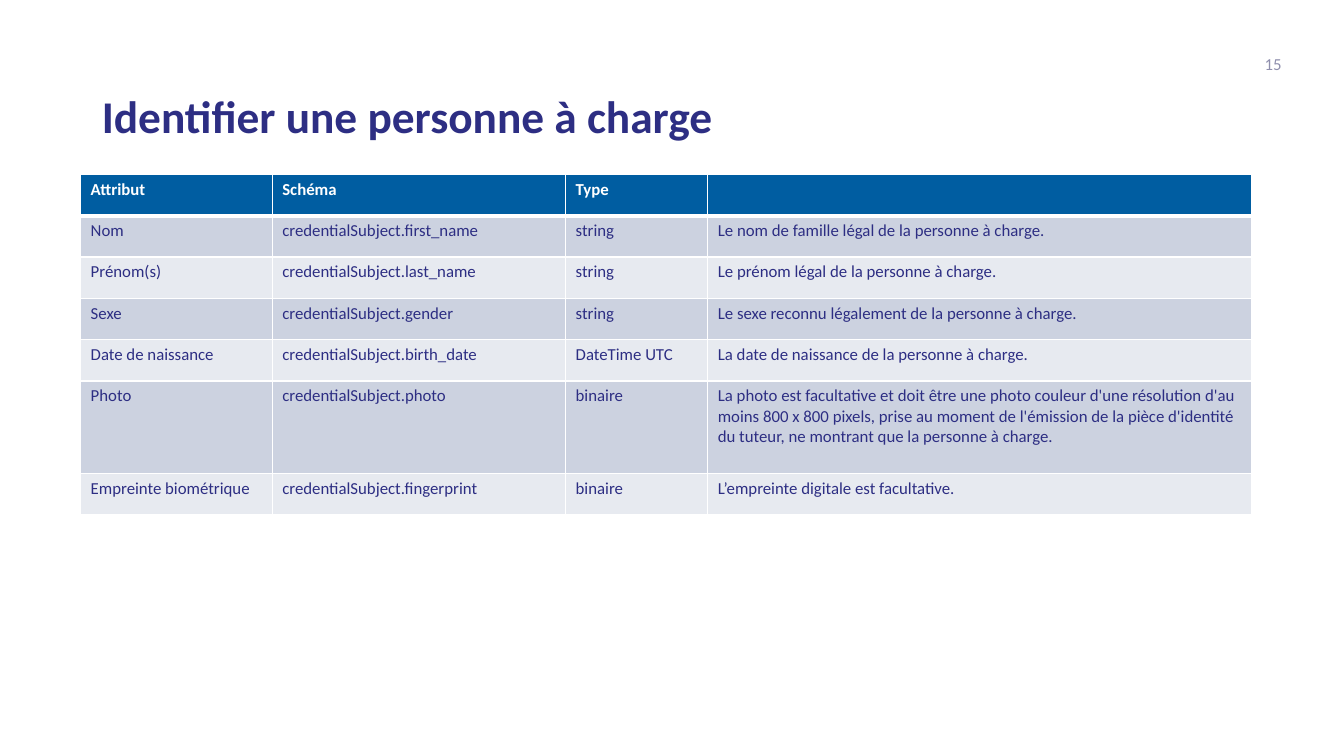
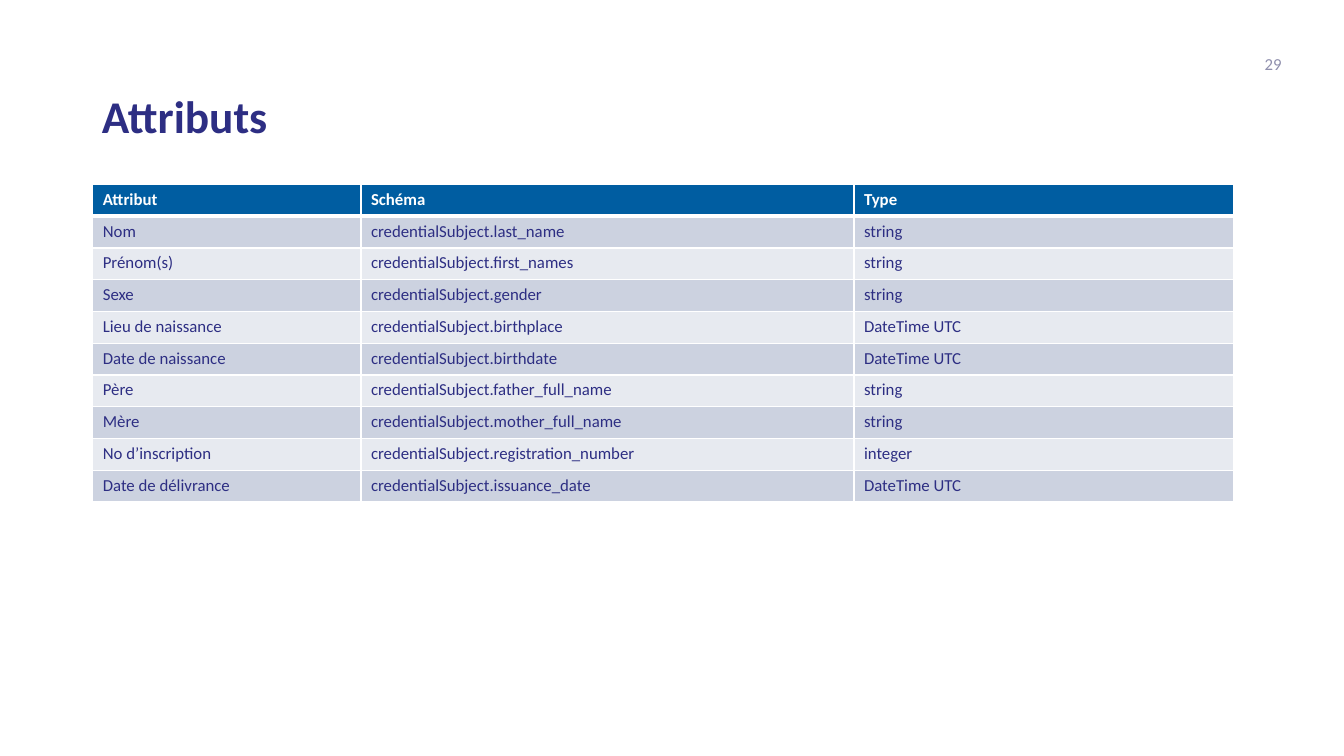
from lxml import etree
from pptx import Presentation
from pptx.dml.color import RGBColor
from pptx.enum import text
from pptx.oxml import ns
from pptx.util import Inches, Pt

# Content
SLIDES = [
    {
        "title": "Identifier une personne à charge", "number": "15",
        "corner": (0.8, 1.73), "cols": [1.9, 2.91, 1.41, 5.39],
        "row": 0.41, "tall": {5: 0.92},
        "rows": [
            ("Attribut", "Schéma", "Type", ""),
            ("Nom", "credentialSubject.first_name", "string",
             "Le nom de famille légal de la personne à charge."),
            ("Prénom(s)", "credentialSubject.last_name", "string",
             "Le prénom légal de la personne à charge."),
            ("Sexe", "credentialSubject.gender", "string",
             "Le sexe reconnu légalement de la personne à charge."),
            ("Date de naissance", "credentialSubject.birth_date", "DateTime UTC",
             "La date de naissance de la personne à charge."),
            ("Photo", "credentialSubject.photo", "binaire",
             "La photo est facultative et doit être une photo couleur d'une "
             "résolution d'au moins 800 x 800 pixels, prise au moment de "
             "l'émission de la pièce d'identité du tuteur, ne montrant que "
             "la personne à charge."),
            ("Empreinte biométrique", "credentialSubject.fingerprint", "binaire",
             "L’empreinte digitale est facultative."),
        ],
    },
    {
        "title": "Attributs", "number": "29",
        "corner": (0.92, 1.83), "cols": [2.66, 4.89, 3.77],
        "row": 3.15 / 10, "tall": {},
        "rows": [
            ("Attribut", "Schéma", "Type"),
            ("Nom", "credentialSubject.last_name", "string"),
            ("Prénom(s)", "credentialSubject.first_names", "string"),
            ("Sexe", "credentialSubject.gender", "string"),
            ("Lieu de naissance", "credentialSubject.birthplace", "DateTime UTC"),
            ("Date de naissance", "credentialSubject.birthdate", "DateTime UTC"),
            ("Père", "credentialSubject.father_full_name", "string"),
            ("Mère", "credentialSubject.mother_full_name", "string"),
            ("No d’inscription", "credentialSubject.registration_number", "integer"),
            ("Date de délivrance", "credentialSubject.issuance_date", "DateTime UTC"),
        ],
    },
]

# Shared style
COLORS = {"ink": "2D2E83", "number": "8F8FAD", "header": "005DA1",
          "dark": "CCD2E0", "light": "E7EAF0", "white": "FFFFFF"}
FONT = "Calibri"
TITLE_BOX = (0.91, 0.87, 11.5, 0.6)
NUMBER_BOX = (9.81, 0.43, 3, 0.4)


def style(p, size, color, bold=False):
    p.font.name, p.font.size, p.font.bold = FONT, Pt(size), bold
    p.font.color.rgb = RGBColor.from_string(COLORS[color])


def add_title(s, words):
    title = s.shapes.title
    title.left, title.top, title.width, title.height = map(Inches, TITLE_BOX)
    tf = title.text_frame
    tf.text = words
    tf.auto_size = text.MSO_AUTO_SIZE.NONE
    tf.vertical_anchor = text.MSO_ANCHOR.BOTTOM
    p = tf.paragraphs[0]
    p.alignment, p.line_spacing = text.PP_ALIGN.LEFT, 0.9
    style(p, 32.4, "ink", bold=True)


def add_number(s, number):
    tf = s.shapes.add_textbox(*map(Inches, NUMBER_BOX)).text_frame
    tf.word_wrap = True
    tf.vertical_anchor = text.MSO_ANCHOR.MIDDLE
    tf.text = number
    p = tf.paragraphs[0]
    p.alignment = text.PP_ALIGN.RIGHT
    style(p, 12, "number")


def add_borders(cell, widths):
    tc_pr = cell._tc.get_or_add_tcPr()
    for side, width in widths.items():
        ln = etree.SubElement(tc_pr, ns.qn(f"a:ln{side}"), w=str(Pt(width)))
        fill = etree.SubElement(ln, ns.qn("a:solidFill"))
        etree.SubElement(fill, ns.qn("a:srgbClr"), val=COLORS["white"])


def add_table(s, data):
    rows, cols = data["rows"], data["cols"]
    heights = [data["tall"].get(i, data["row"]) for i in range(len(rows))]
    box = (*data["corner"], sum(cols), sum(heights))
    table = s.shapes.add_table(len(rows), len(cols), *map(Inches, box)).table
    for column, width in zip(table.columns, cols):
        column.width = Inches(width)
    for i, words in enumerate(rows):
        table.rows[i].height = Inches(heights[i])
        band = "header" if i == 0 else ("light", "dark")[i % 2]
        # A thicker rule separates the header from the body
        borders = {"L": 1, "R": 1, "T": 3 if i == 1 else 1, "B": 3 if i == 0 else 1}
        for cell, word in zip(table.rows[i].cells, words):
            add_borders(cell, borders)
            cell.fill.solid()
            cell.fill.fore_color.rgb = RGBColor.from_string(COLORS[band])
            cell.text = word
            style(cell.text_frame.paragraphs[0], 12,
                  "white" if i == 0 else "ink", bold=i == 0)


# Build
prs = Presentation()
prs.slide_width, prs.slide_height = Inches(13.33), Inches(7.5)
for data in SLIDES:
    s = prs.slides.add_slide(prs.slide_layouts[5])
    add_title(s, data["title"])
    add_number(s, data["number"])
    add_table(s, data)
prs.save("out.pptx")
